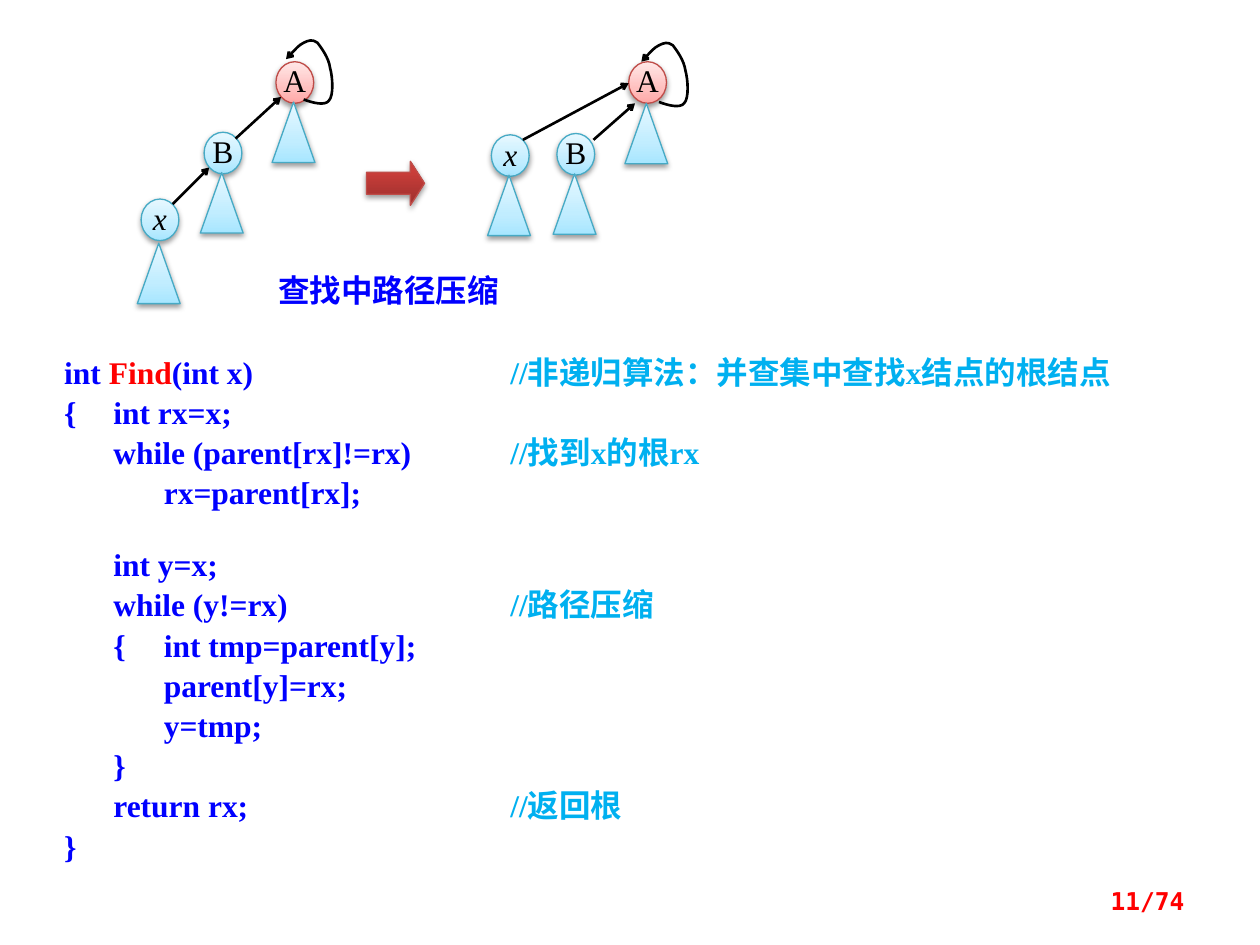
from dataclasses import dataclass

from lxml import etree
from pptx import Presentation
from pptx.dml.color import RGBColor
from pptx.enum.shapes import MSO_CONNECTOR, MSO_SHAPE
from pptx.enum.text import MSO_ANCHOR, PP_ALIGN
from pptx.oxml.ns import qn
from pptx.util import Inches, Pt

OVAL, TRIANGLE = MSO_SHAPE.OVAL, MSO_SHAPE.ISOSCELES_TRIANGLE
RECT, RIGHT_ARROW = MSO_SHAPE.RECTANGLE, MSO_SHAPE.RIGHT_ARROW
STRAIGHT = MSO_CONNECTOR.STRAIGHT
TOP, MIDDLE = MSO_ANCHOR.TOP, MSO_ANCHOR.MIDDLE
LEFT, CENTER, RIGHT = PP_ALIGN.LEFT, PP_ALIGN.CENTER, PP_ALIGN.RIGHT


@dataclass(frozen=True)
class Theme:
    serif: str = "Times New Roman"
    cjk: str = "Noto Sans CJK SC"
    mono: str = "DejaVu Sans Mono"
    body: int = 18
    small: int = 14
    black: str = "000000"
    white: str = "FFFFFF"
    code: str = "0000FF"
    name: str = "FF0000"
    comment: str = "00B0F0"
    # each look is an outline colour and gradient stops from bottom to top
    root: tuple = ("BF4C48", ((0, "FFA6A5"), (35, "FFC0BF"), (100, "FFE7E7")))
    node: tuple = ("46AAC5", ((0, "A7E6FF"), (35, "C1EDFF"), (100, "E7F8FF")))
    step: tuple = ("BF4C48", ((0, "9C2F2D"), (80, "CB3E3A"), (100, "CE3B37")))


def add(parent, tag, **attrs):
    child = etree.SubElement(parent, qn(tag))
    for key, value in attrs.items():
        child.set(key, str(value))
    return child


class SlideBuilder:
    def __init__(self, slide, theme):
        self.slide, self.theme = slide, theme
        self.shapes = slide.shapes

    def font(self, r, color, face, size, bold=False, italic=False):
        r.font.name, r.font.size = face, Pt(size)
        r.font.bold, r.font.italic = bold, italic
        r.font.color.rgb = RGBColor.from_string(color)
        ea = etree.Element(qn("a:ea"), typeface=self.theme.cjk)
        r.font._element.find(qn("a:latin")).addnext(ea)

    def frame(self, sp, margins, anchor=TOP):
        tf = sp.text_frame
        tf.word_wrap, tf.vertical_anchor = True, anchor
        (tf.margin_left, tf.margin_top,
         tf.margin_right, tf.margin_bottom) = map(Inches, margins)
        return tf

    def solid(self, shape, look, x, y, w, h):
        """Add a shape with a gradient, an outline and a soft shadow."""
        sp = self.shapes.add_shape(shape, *map(Inches, (x, y, w, h)))
        outline, stops = look
        sp.line.color.rgb = RGBColor.from_string(outline)
        sp.line.width = Pt(0.75)
        sp.shadow.inherit = False
        sp_pr = sp._element.spPr
        grad = etree.Element(qn("a:gradFill"), rotWithShape="1")
        stop_list = add(grad, "a:gsLst")
        for pos, color in stops:
            add(add(stop_list, "a:gs", pos=pos * 1000), "a:srgbClr", val=color)
        add(grad, "a:lin", ang=270 * 60000, scaled=0)
        sp_pr.find(qn("a:prstGeom")).addnext(grad)
        shadow = add(sp_pr.find(qn("a:effectLst")), "a:outerShdw", blurRad=Pt(3.1),
                     dist=Pt(1.6), dir=90 * 60000, rotWithShape=0)
        add(add(shadow, "a:srgbClr", val=self.theme.black), "a:alpha", val=38000)
        return sp

    def tree_node(self, label, x, y, look, gap=0.32):
        """Add a labelled node with its subtree triangle below."""
        sp = self.solid(OVAL, look, x, y, 0.3, 0.33)
        p = self.frame(sp, (0, 0, 0, 0.04)).paragraphs[0]
        p.text, p.alignment, p.line_spacing = label, CENTER, Pt(18)
        self.font(p.runs[0], self.theme.black, self.theme.serif, self.theme.body,
                  italic=label.islower())
        self.solid(TRIANGLE, self.theme.node, x - 0.03, y + gap, 0.34, 0.48)

    def stroke(self, sp, arrow_end):
        sp.line.color.rgb = RGBColor.from_string(self.theme.black)
        sp.line.width = Pt(1.5)
        add(sp.line._get_or_add_ln(), arrow_end, type="arrow", w="sm", len="sm")

    def parent_link(self, parent, child):
        sp = self.shapes.add_connector(STRAIGHT, *map(Inches, parent + child))
        self.stroke(sp, "a:headEnd")
        add(sp._element.spPr, "a:effectLst")

    def curve(self, points):
        """Add a Bezier path: a start point, then three points per segment."""
        pts = [(Inches(x), Inches(y)) for x, y in points]
        builder = self.shapes.build_freeform(*pts[0])
        builder.add_line_segments(pts[1:], close=False)
        sp = builder.convert_to_shape()
        path = sp._element.spPr.find(".//" + qn("a:path"))
        lines = path.findall(qn("a:lnTo"))
        for i in range(0, len(lines), 3):
            bezier = add(path, "a:cubicBezTo")
            for line in lines[i:i + 3]:
                bezier.append(line[0])
                path.remove(line)
        sp.fill.background()
        sp.shadow.inherit = False
        self.stroke(sp, "a:tailEnd")

    def label(self, text, x, y, w, h, color, face, size, align=LEFT, anchor=TOP):
        sp = self.shapes.add_textbox(*map(Inches, (x, y, w, h)))
        p = self.frame(sp, (0.1, 0.05, 0.1, 0.05), anchor).paragraphs[0]
        p.text, p.alignment = text, align
        self.font(p.runs[0], color, face, size, bold=True)

    def code(self, lines, x, y, w, h, tab_stops):
        """Add a listing; a line is runs of (text, colour), spaced before if blank_before."""
        t = self.theme
        sp = self.shapes.add_shape(RECT, *map(Inches, (x, y, w, h)))
        sp.fill.solid()
        sp.fill.fore_color.rgb = RGBColor.from_string(t.white)
        sp.line.fill.background()
        sp.shadow.inherit = False
        tf = self.frame(sp, (0.2, 0.12, 0.1, 0.12))
        for i, (runs, blank_before) in enumerate(lines):
            p = tf.add_paragraph() if i else tf.paragraphs[0]
            p.alignment, p.line_spacing = LEFT, Pt(23)
            if blank_before:
                p.space_before = Pt(18)
            tabs = add(p._p.get_or_add_pPr(), "a:tabLst")
            for stop in tab_stops:
                add(tabs, "a:tab", pos=Inches(stop), algn="l")
            for text, color in runs:
                r = p.add_run()
                r.text = text
                self.font(r, color, t.serif, t.body, bold=True)


def code_line(text, comment="", blank_before=False):
    runs = [(text, THEME.code)]
    if comment:
        runs = [(text + "\t", THEME.code), (comment, THEME.comment)]
    return runs, blank_before


THEME = Theme()
FIND_CODE = [
    ([("int ", THEME.code), ("Find", THEME.name), ("(int x)\t", THEME.code),
      ("//非递归算法：并查集中查找x结点的根结点", THEME.comment)], False),
    code_line("{\tint rx=x;"),
    code_line("\twhile (parent[rx]!=rx)", "//找到x的根rx"),
    code_line("\t\trx=parent[rx];"),
    code_line("\tint y=x;", blank_before=True),
    code_line("\twhile (y!=rx)", "//路径压缩"),
    code_line("\t{\tint tmp=parent[y];"),
    code_line("\t\tparent[y]=rx;"),
    code_line("\t\ty=tmp;"),
    code_line("\t}"),
    code_line("\treturn rx;", "//返回根"),
    code_line("}"),
]
ROOT_LOOP = [(2.41, 0.79), (2.49, 0.82), (2.58, 0.84), (2.61, 0.8),
             (2.65, 0.76), (2.64, 0.61), (2.62, 0.54),
             (2.61, 0.46), (2.55, 0.38), (2.52, 0.34),
             (2.48, 0.31), (2.45, 0.32), (2.41, 0.34),
             (2.37, 0.36), (2.3, 0.44), (2.27, 0.47)]


def main():
    prs = Presentation()
    prs.slide_width, prs.slide_height = Inches(10), Inches(7.5)
    s = SlideBuilder(prs.slides.add_slide(prs.slide_layouts[6]), THEME)

    s.code(FIND_CODE, 0.31, 2.66, 9.38, 4.36, tab_stops=(0.39, 0.79, 3.54))

    s.tree_node("A", 2.19, 0.49, THEME.root)
    s.tree_node("B", 1.62, 1.05, THEME.node)
    s.tree_node("x", 1.12, 1.58, THEME.node, gap=0.35)
    s.parent_link((2.23, 0.77), (1.87, 1.1))
    s.parent_link((1.66, 1.33), (1.37, 1.62))

    s.tree_node("A", 4.99, 0.49, THEME.root, gap=0.33)
    s.tree_node("B", 4.42, 1.06, THEME.node)
    s.tree_node("x", 3.9, 1.07, THEME.node)
    s.parent_link((5.04, 0.82), (4.71, 1.11))
    s.parent_link((4.99, 0.66), (4.15, 1.11))

    step = s.solid(RIGHT_ARROW, THEME.step, 2.91, 1.28, 0.46, 0.35)
    step.adjustments[1] = 0.32
    for dx, dy in ((0, 0), (2.82, 0.02)):
        s.curve([(x + dx, y + dy) for x, y in ROOT_LOOP])

    s.label("查找中路径压缩", 2.11, 2.1, 2.11, 0.4, THEME.code, THEME.cjk, THEME.body)
    s.label("11/74", 7.17, 6.95, 2.33, 0.4, THEME.name, THEME.mono, THEME.small,
            align=RIGHT, anchor=MIDDLE)
    prs.save("out.pptx")


if __name__ == "__main__":
    main()
